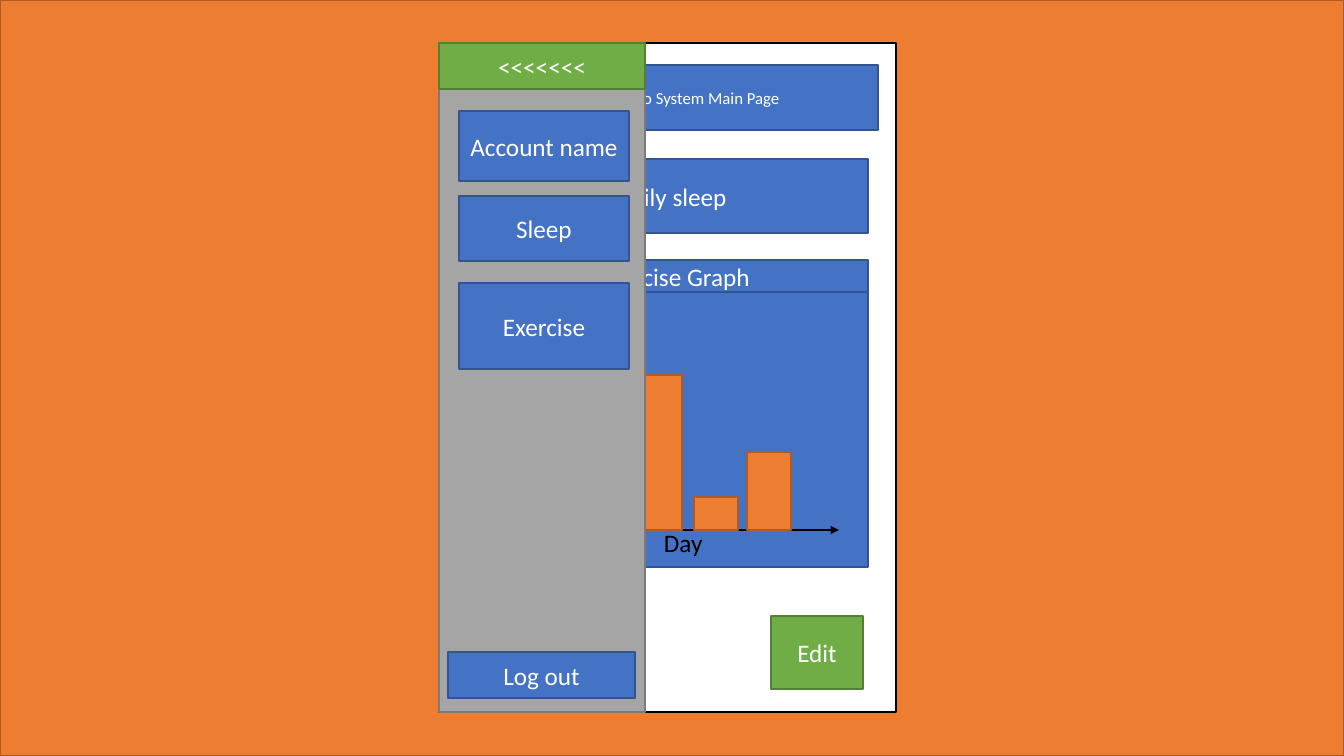
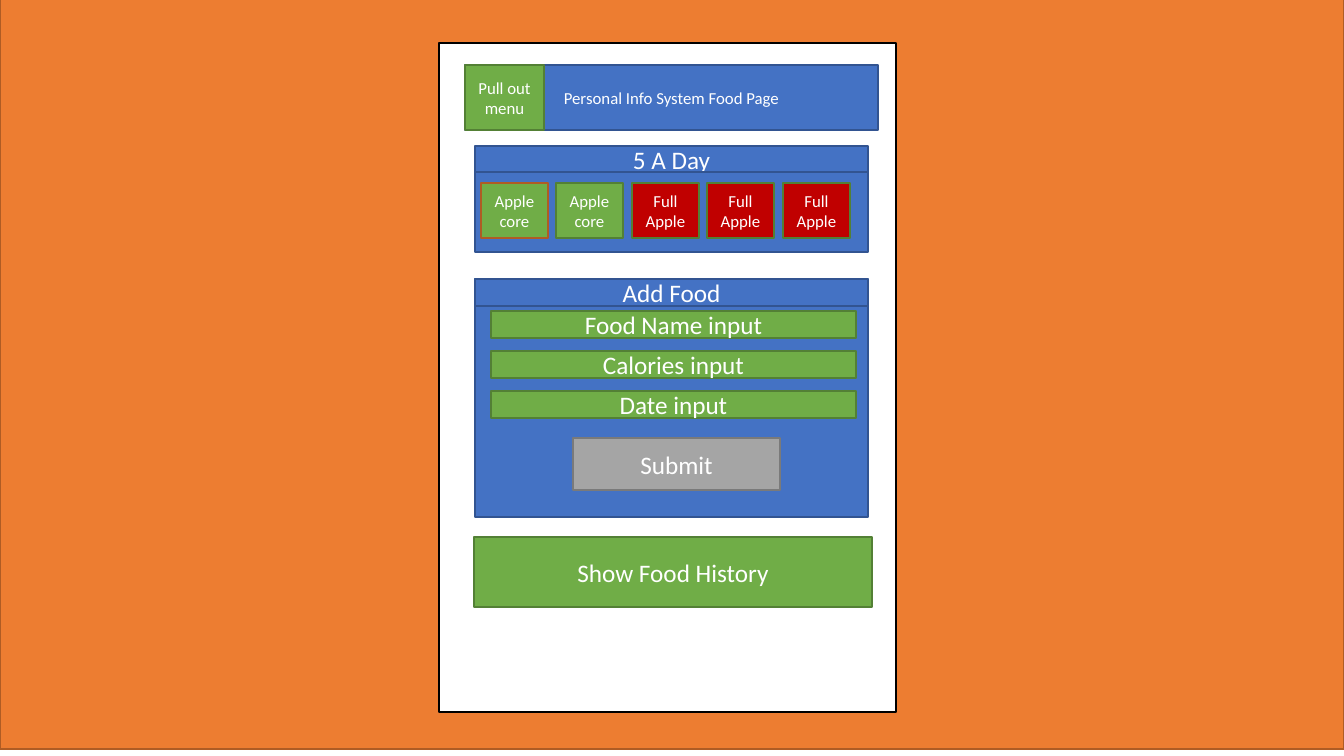
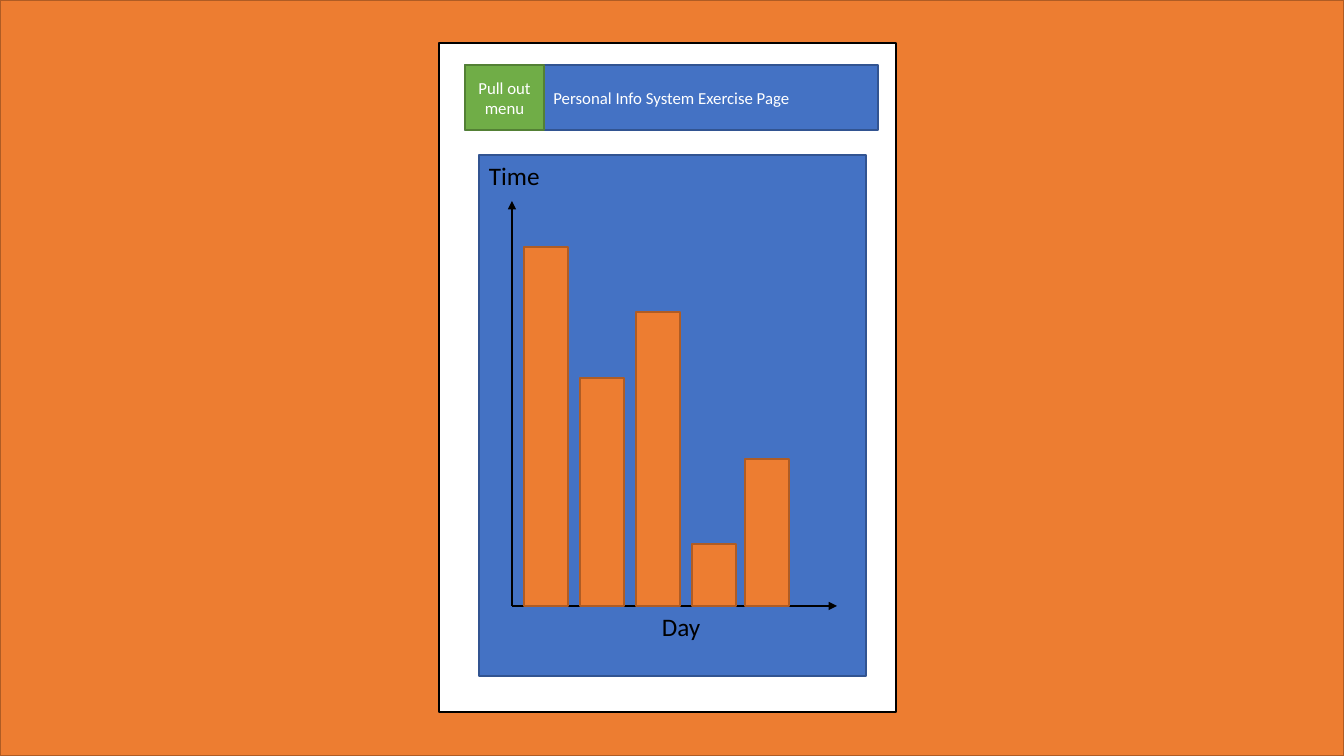
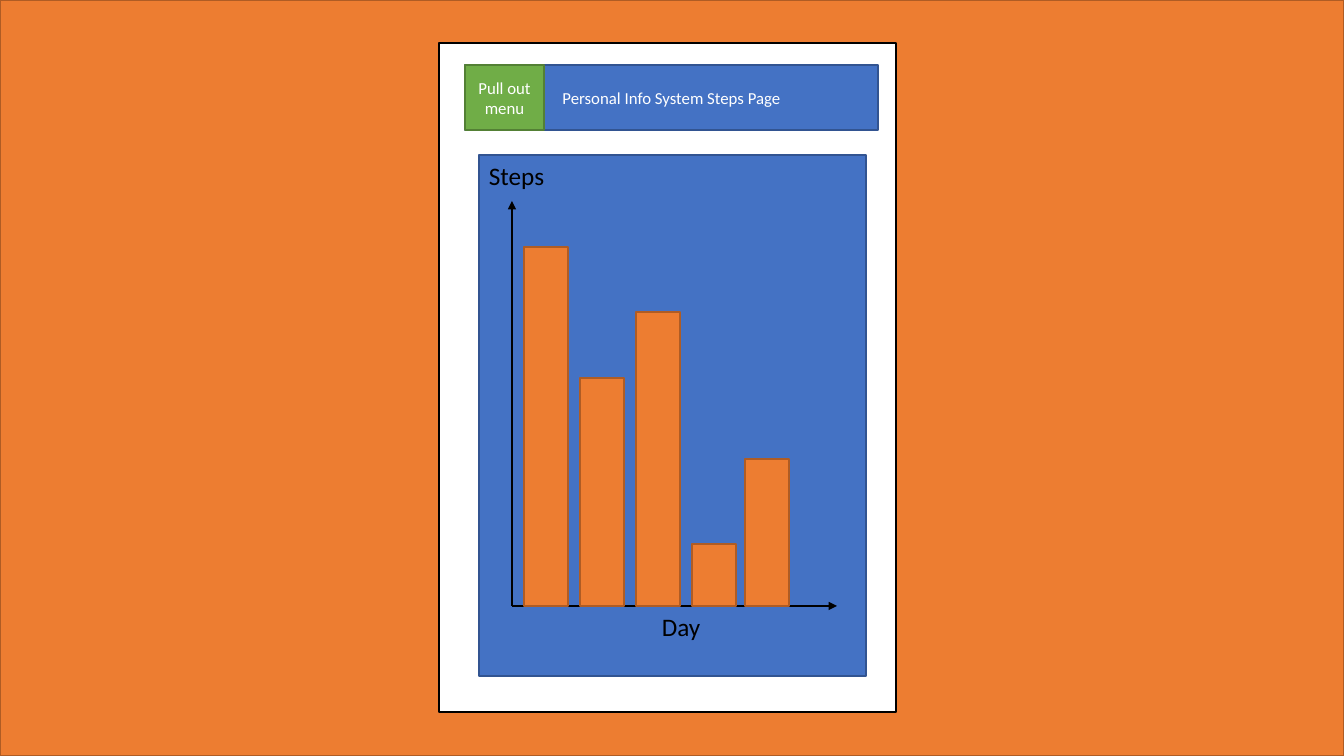
from typing import NamedTuple

from lxml.etree import SubElement
from pptx import Presentation
from pptx.dml.color import RGBColor
from pptx.enum.shapes import MSO_CONNECTOR, MSO_SHAPE
from pptx.enum.text import MSO_ANCHOR, MSO_AUTO_SIZE, PP_ALIGN
from pptx.oxml.ns import qn
from pptx.util import Pt

SCALE = 914400 / 100.8  # EMU in one pixel
FONT = "Calibri"
COLOURS = {
    "orange": "ED7D31", "orange edge": "AF5C24",
    "blue": "4472C4", "blue edge": "325491",
    "green": "70AD47", "green edge": "538035",
    "grey": "A5A5A5", "grey edge": "7A7A7A",
    "red": "C00000", "red edge": "538035",
    "white": "FFFFFF", "white edge": "000000", "black": "000000",
}
TILE_TEXT = {"word_wrap": True, "vertical_anchor": MSO_ANCHOR.MIDDLE}
LABEL_TEXT = {"word_wrap": True, "vertical_anchor": MSO_ANCHOR.TOP,
              "auto_size": MSO_AUTO_SIZE.SHAPE_TO_FIT_TEXT}


class Box(NamedTuple):
    x: int
    y: int
    w: int
    h: int

    def inner(self, x, y, w, h):
        return Box(self.x + x, self.y + y, w, h)


SCREEN = Box(0, 0, 1344, 756)
PHONE = Box(439, 43, 457, 669)

GRAPH_HEIGHT = 521  # panel height at which the bar heights below hold
BARS = [(45, 359), (101, 228), (157, 294), (213, 62), (266, 147)]  # left, height


# Shared drawing helpers
def emu(*pixels):
    return [round(p * SCALE) for p in pixels]


def rgb(name):
    return RGBColor.from_string(COLOURS[name])


def set_all(target, values):
    for name, value in values.items():
        setattr(target, name, value)


def write(frame, text, size, colour, align, layout):
    set_all(frame, layout)
    paragraph = frame.paragraphs[0]
    paragraph.alignment = align
    run = paragraph.add_run()
    run.text = text
    set_all(run.font, {"name": FONT, "size": Pt(size)})
    run.font.color.rgb = rgb(colour)


def tile(shapes, box, colour, text="", size=18, edge=None):
    rect = shapes.add_shape(MSO_SHAPE.RECTANGLE, *emu(*box))
    rect.shadow.inherit = False
    rect.fill.solid()
    rect.fill.fore_color.rgb = rgb(colour)
    rect.line.color.rgb = rgb(edge or f"{colour} edge")
    rect.line.width = Pt(1)
    if text:
        write(rect.text_frame, text, size, "white", PP_ALIGN.CENTER, TILE_TEXT)


def label(shapes, box, text):
    frame = shapes.add_textbox(*emu(*box)).text_frame
    write(frame, text, 18, "black", PP_ALIGN.LEFT, LABEL_TEXT)


def axis(shapes, start, end):
    arrow = shapes.add_connector(MSO_CONNECTOR.STRAIGHT, *emu(*start, *end))
    arrow.line.color.rgb = rgb("black")
    arrow.line.width = Pt(1.5)
    properties = arrow.element.spPr
    SubElement(properties.find(qn("a:ln")), qn("a:tailEnd"), type="triangle")
    SubElement(properties, qn("a:effectLst"))


# Regions
def phone_page(deck, title, pull_out=True, rise=0):
    shapes = deck.slides.add_slide(deck.slide_layouts[6]).shapes
    tile(shapes, SCREEN.inner(0, -rise, SCREEN.w, SCREEN.h), "orange")
    tile(shapes, PHONE, "white")
    header = PHONE.inner(26, 22, 413, 65)
    tile(shapes, header, "blue", f"Personal Info System {title} Page", 12)
    if pull_out:
        tile(shapes, header.inner(0, 0, 79, 65), "green", "Pull out menu", 12)
    return shapes


def bar_graph(shapes, box, bars=BARS, measure=None, day_lift=0):
    graph = shapes.add_group_shape().shapes
    ratio = box.h / GRAPH_HEIGHT
    base = round(451 * ratio)
    origin = (box.x + 33, box.y + base)
    tile(graph, box, "blue")
    if measure:
        axis(graph, origin, (origin[0], box.y + 46))
        label(graph, box.inner(0, 0, 111, 40), measure)
    axis(graph, origin, (box.x + 358, origin[1]))
    label(graph, box.inner(173, base - day_lift, 91, 40), "Day")
    for left, full_height in bars:
        height = round(full_height * ratio)
        tile(graph, box.inner(left, base - height, 44, height), "orange")


def side_menu(shapes, box):
    tile(shapes, box, "grey")
    for text, top, height in [("Account name", 68, 70), ("Sleep", 153, 65),
                              ("Exercise", 240, 86)]:
        tile(shapes, box.inner(20, top, 170, height), "blue", text)
    tile(shapes, box.inner(9, 609, 187, 46), "blue", "Log out")
    tile(shapes, box.inner(0, 0, box.w, 46), "green", "<<<<<<<")


def five_a_day(shapes, box):
    tile(shapes, box.inner(0, 0, box.w, 27), "blue", "5 A Day")
    tile(shapes, box.inner(0, 26, box.w, box.h - 26), "blue")
    portions = [("green", "Apple core")] * 2 + [("red", "Full Apple")] * 3
    for i, (colour, text) in enumerate(portions):
        edge = "orange edge" if i == 0 else None
        tile(shapes, box.inner(6 + 151 * i // 2, 37, 67, 55), colour, text, 12, edge)


def add_food(shapes, box):
    tile(shapes, box, "blue")
    tile(shapes, box.inner(0, 0, box.w, 27), "blue", "Add Food")
    for i, field in enumerate(["Food Name", "Calories", "Date"]):
        tile(shapes, box.inner(16, 32 + 40 * i, 365, 27), "green", f"{field} input")
    tile(shapes, box.inner(98, 159, 207, 52), "grey", "Submit")


# Slides
def main_page(deck):
    shapes = phone_page(deck, "Main", pull_out=False)
    tile(shapes, PHONE.inner(36, 116, 393, 74), "blue", "Daily sleep")
    bar_graph(shapes, PHONE.inner(42, 249, 387, 275), BARS[2:], day_lift=8)
    tile(shapes, PHONE.inner(42, 217, 387, 32), "blue", "Exercise Graph")
    tile(shapes, PHONE.inner(332, 573, 92, 73), "green", "Edit")
    side_menu(shapes, PHONE.inner(0, 0, 206, PHONE.h))


def food_page(deck):
    shapes = phone_page(deck, "Food", rise=7)
    five_a_day(shapes, PHONE.inner(36, 103, 393, 106))
    add_food(shapes, PHONE.inner(36, 236, 393, 238))
    tile(shapes, PHONE.inner(35, 494, 398, 70), "green", "Show Food History")


def graph_page(deck, title, measure):
    shapes = phone_page(deck, title)
    bar_graph(shapes, PHONE.inner(40, 112, 387, GRAPH_HEIGHT), measure=measure)


deck = Presentation()
deck.slide_width, deck.slide_height = emu(SCREEN.w, SCREEN.h)
main_page(deck)
food_page(deck)
graph_page(deck, "Exercise", "Time")
graph_page(deck, "Steps", "Steps")
deck.save("out.pptx")
